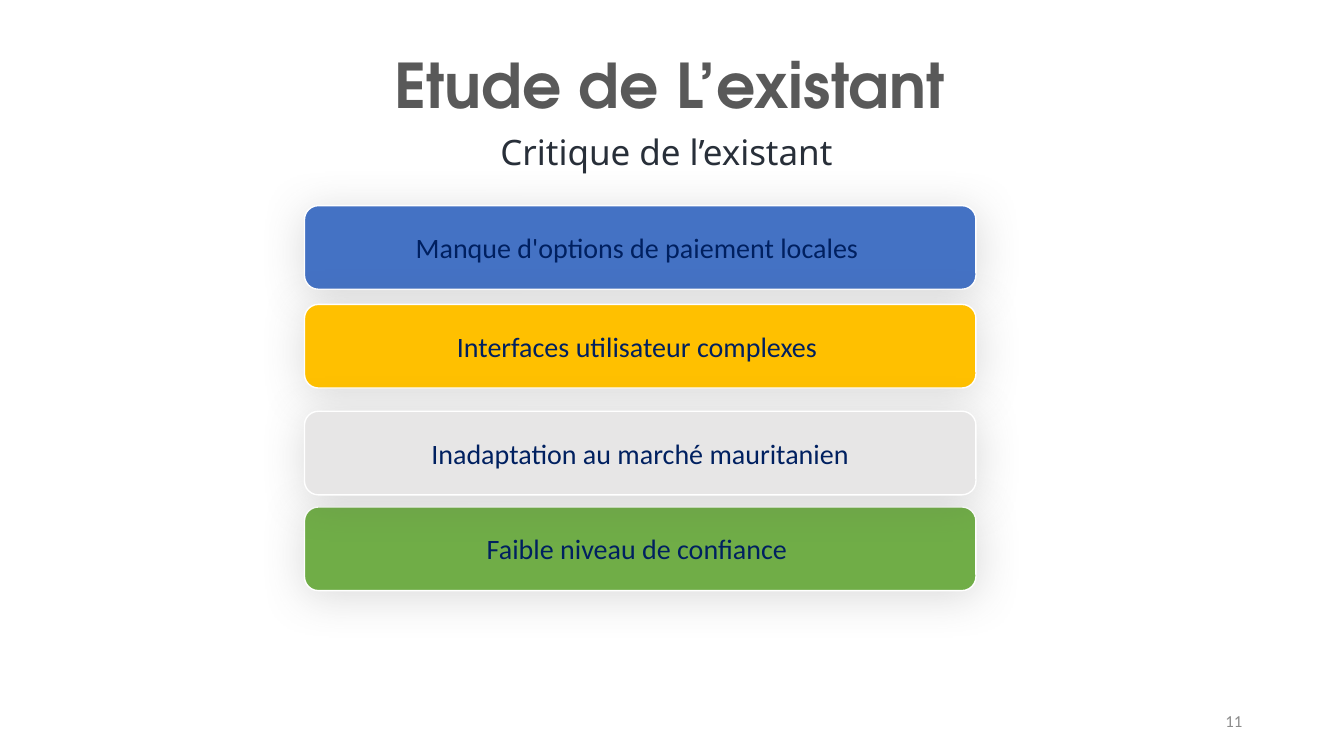
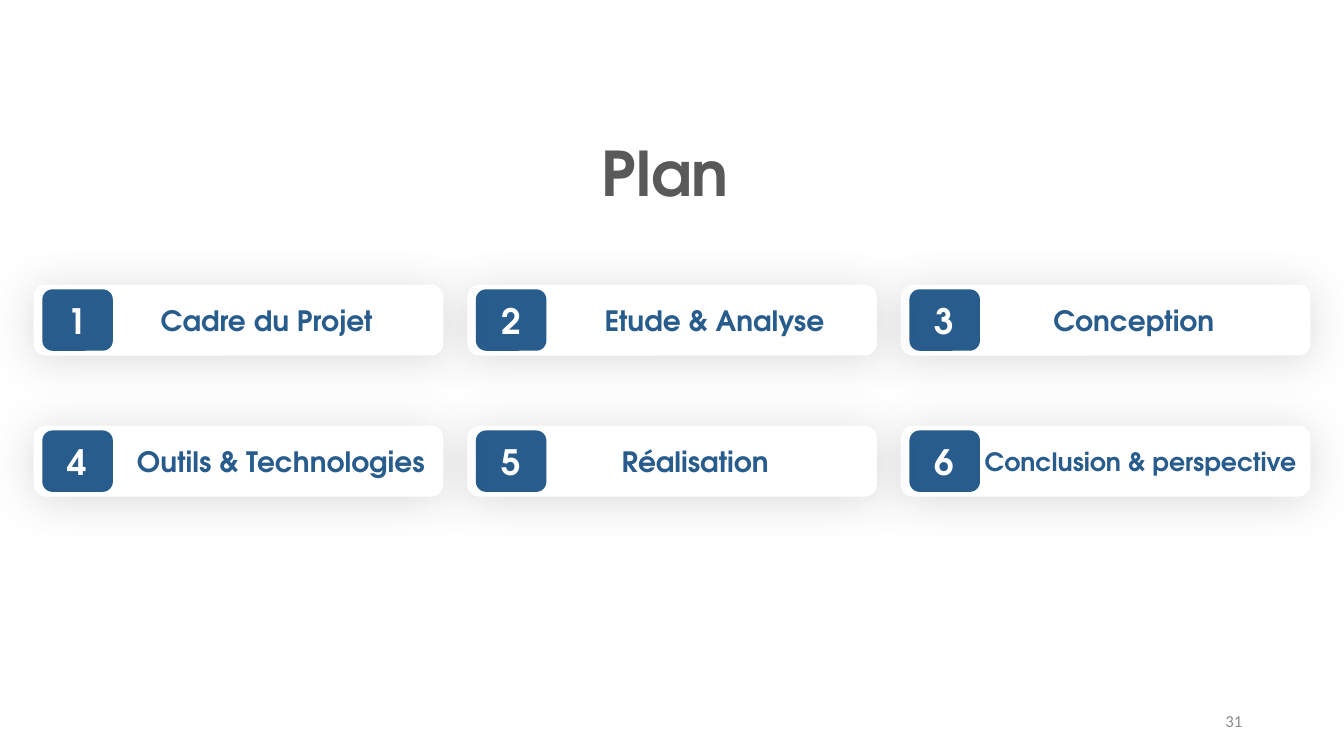
from dataclasses import dataclass
from typing import Optional

from lxml.etree import SubElement
from pptx import Presentation
from pptx.dml.color import RGBColor
from pptx.enum.shapes import MSO_SHAPE as Preset
from pptx.enum.text import MSO_ANCHOR as Anchor, PP_ALIGN as Align
from pptx.oxml.ns import qn
from pptx.util import Inches, Pt

WHITE = RGBColor(0xFF, 0xFF, 0xFF)
TITLE_GRAY = RGBColor(0x59, 0x59, 0x59)
SLATE = RGBColor(0x28, 0x2F, 0x39)
NUMBER_GRAY = RGBColor(0x8C, 0x8C, 0x8C)
NAVY = RGBColor(0x00, 0x20, 0x60)
STEEL = RGBColor(0x27, 0x5C, 0x8D)
BLUE = RGBColor(0x44, 0x72, 0xC4)
AMBER = RGBColor(0xFF, 0xC0, 0x00)
GREEN = RGBColor(0x70, 0xAD, 0x47)
SILVER = RGBColor(0xE7, 0xE6, 0xE6)

HEADING_FONT = "TeX Gyre Adventor"
SUBTITLE_FONT = "Noto Sans"
BODY_FONT = "Calibri"


@dataclass(frozen=True)
class Area:
    left: float
    top: float
    width: float
    height: float

    def lengths(self) -> tuple:
        return tuple(map(Inches, (self.left, self.top, self.width, self.height)))


@dataclass(frozen=True)
class Style:
    font: str
    size: float
    color: RGBColor
    bold: bool = False
    align: Align = Align.CENTER
    spacing: Optional[float] = None


@dataclass(frozen=True)
class Critique:
    text: str
    top: float
    fill: RGBColor


@dataclass(frozen=True)
class Chapter:
    text: str
    indent: float
    size: float = 20
    align: Align = Align.CENTER


TITLE = Style(HEADING_FONT, 44, TITLE_GRAY, True, Align.LEFT, 0.9)
SUBTITLE = Style(SUBTITLE_FONT, 25, SLATE)
PAGE_NUMBER = Style(BODY_FONT, 12, NUMBER_GRAY, align=Align.RIGHT)
CRITIQUE = Style(BODY_FONT, 20, NAVY)
BADGE = Style(HEADING_FONT, 25, WHITE, True)

CRITIQUES = (
    Critique("Manque d'options de paiement locales ", 2.04, BLUE),
    Critique("Interfaces utilisateur complexes ", 3.02, AMBER),
    Critique("Faible niveau de confiance ", 5.03, GREEN),
    Critique("Inadaptation au marché mauritanien", 4.08, SILVER),
)
CHAPTERS = (
    Chapter("Cadre du Projet", 0.66),
    Chapter("Etude & Analyse", 0.94),
    Chapter("Conception", 0.66),
    Chapter("Outils & Technologies", 0.94),
    Chapter("Réalisation", 0.56),
    Chapter("Conclusion & perspective", 0.66, 18, Align.RIGHT),
)
COLUMNS = 3
COLUMN_PITCH, ROW_PITCH = 4.3, 1.4
GRID_LEFT, GRID_TOP = 0.34, 2.83


def write(shape, text: str, style: Style, anchor: Anchor = Anchor.MIDDLE) -> None:
    frame = shape.text_frame
    frame.word_wrap = True
    frame.vertical_anchor = anchor
    para = frame.paragraphs[0]
    para.text = text
    para.alignment = style.align
    if style.spacing:
        para.line_spacing = style.spacing
    font = para.font
    font.name, font.size, font.bold = style.font, Pt(style.size), style.bold
    font.color.rgb = style.color


def add_text(page, area: Area, text: str, style: Style, anchor: Anchor = Anchor.MIDDLE) -> None:
    write(page.shapes.add_textbox(*area.lengths()), text, style, anchor)


def add_soft_shadow(box) -> None:
    effects = box._element.spPr.find(qn("a:effectLst"))
    shadow = SubElement(
        effects, qn("a:outerShdw"), blurRad=str(Pt(32)), dist=str(Pt(3)),
        dir=str(94 * 60000), algn="t", rotWithShape="0",
    )
    color = SubElement(shadow, qn("a:srgbClr"), val=str(TITLE_GRAY))
    SubElement(color, qn("a:alpha"), val="22000")


def add_box(page, area: Area, fill: RGBColor, text: str, style: Style, raised: bool = True):
    box = page.shapes.add_shape(Preset.ROUNDED_RECTANGLE, *area.lengths())
    box.fill.solid()
    box.fill.fore_color.rgb = fill
    box.shadow.inherit = False
    if raised:
        box.line.color.rgb = WHITE
        box.line.width = Pt(1)
        add_soft_shadow(box)
    else:
        box.line.fill.background()
    write(box, text, style)
    return box


def add_page(deck, title: str, title_area: Area, number: int):
    page = deck.slides.add_slide(deck.slide_layouts[6])
    add_text(page, title_area, title, TITLE)
    add_text(page, Area(9.42, 6.95, 3, 0.4), str(number), PAGE_NUMBER)
    return page


def add_chapter(page, index: int, chapter: Chapter) -> None:
    row, column = divmod(index, COLUMNS)
    left = GRID_LEFT + column * COLUMN_PITCH
    top = GRID_TOP + row * ROW_PITCH
    style = Style(HEADING_FONT, chapter.size, STEEL, True, chapter.align)
    card = add_box(page, Area(left, top, 4.05, 0.69), WHITE, chapter.text, style)
    card.text_frame.margin_left = Inches(chapter.indent)
    badge = Area(left + 0.08, top + 0.04, 0.7, 0.61)
    add_box(page, badge, STEEL, str(index + 1), BADGE, raised=False)


def build_critique(deck) -> None:
    page = add_page(deck, "Etude de L’existant", Area(3.81, 0.3, 5.87, 1.16), 11)
    add_text(page, Area(4.35, 1.25, 4.52, 0.52), "Critique de l’existant", SUBTITLE, Anchor.TOP)
    for item in CRITIQUES:
        add_box(page, Area(3.02, item.top, 6.66, 0.83), item.fill, item.text, CRITIQUE)


def build_plan(deck) -> None:
    page = add_page(deck, "Plan", Area(5.87, 1.03, 2.62, 1.45), 31)
    for index, chapter in reversed(list(enumerate(CHAPTERS))):
        add_chapter(page, index, chapter)


def main() -> None:
    deck = Presentation()
    deck.slide_width, deck.slide_height = Inches(13.33), Inches(7.5)
    build_critique(deck)
    build_plan(deck)
    deck.save("out.pptx")


if __name__ == "__main__":
    main()
